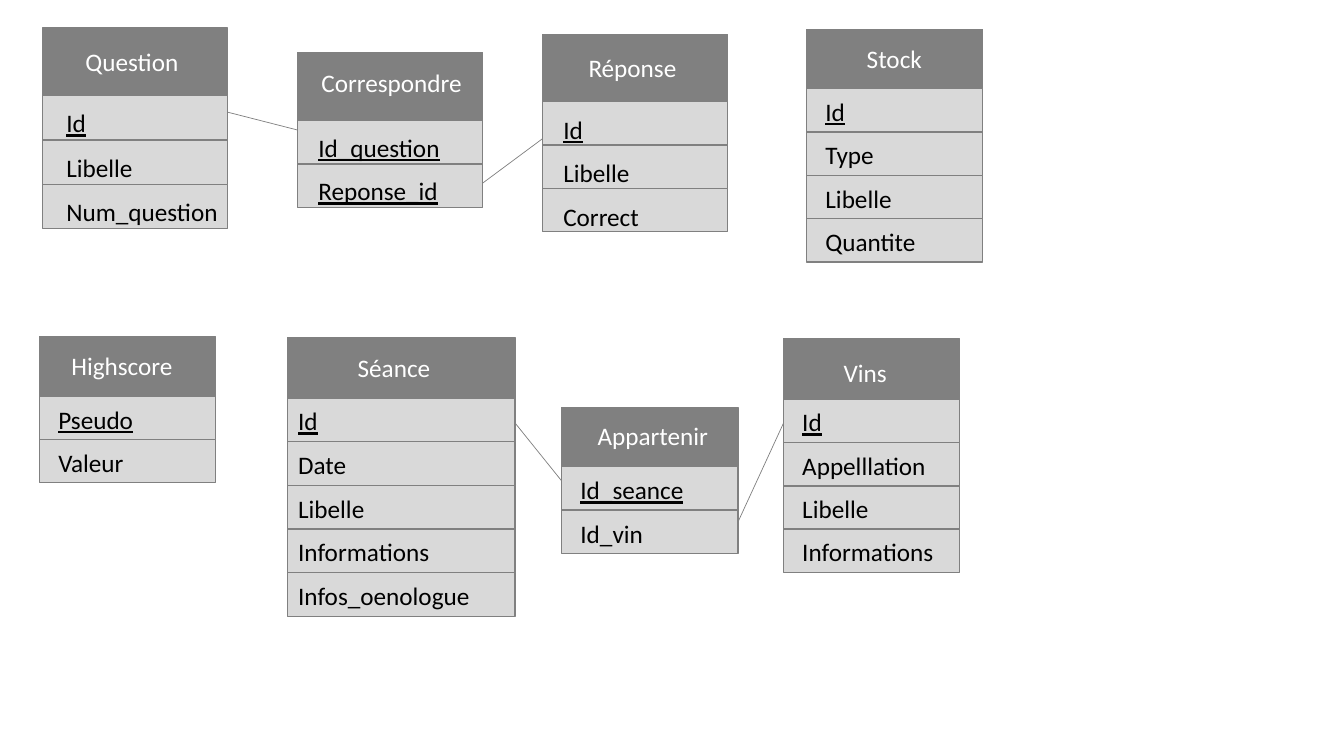
import collections
import dataclasses

import lxml.etree
import pptx
import pptx.dml.color
import pptx.enum.shapes
import pptx.enum.text
import pptx.oxml.ns
import pptx.util


@dataclasses.dataclass(frozen=True)
class Theme:
    """Colours, type and line sizes of the diagram."""
    head: str = "808080"
    row: str = "D9D9D9"
    head_text: str = "FFFFFF"
    row_text: str = "000000"
    font: str = "Calibri"
    size: float = 18
    border: float = 1
    link: float = 0.5


THEME = Theme()
# The grid has ten columns and ten rows to the inch.
WIDTH, HEIGHT = 133.33, 75
TEXT_H = 4

Box = collections.namedtuple("Box", "x y w h")
# box: header bar; pitch: row step; title, inset: text offsets; keys: underlined fields
Entity = collections.namedtuple("Entity", "name box pitch title inset keys fields")

ENTITIES = [
    Entity("Question", Box(4.2, 2.8, 18.4, 6.7), 4.4, (3.3, 1.3), (1.4, 0.7), 1,
           ["Id", "Libelle", "Num_question"]),
    Entity("Réponse", Box(53.8, 3.4, 18.4, 6.7), 4.3, (3.6, 1.3), (1.1, 0.75), 1,
           ["Id", "Libelle", "Correct"]),
    Entity("Highscore", Box(3.9, 3.34 * 10, 17.5, 5.9), 4.3, (2.2, 0.9), (0.9, 0.3), 1,
           ["Pseudo", "Valeur"]),
    Entity("Stock", Box(80, 2.9, 17.5, 5.9), 4.3, (5, 0.9), (0.9, 0.25), 1,
           ["Id", "Type", "Libelle", "Quantite"]),
    Entity("Séance", Box(28.5, 33.5, 22.6, 6), 4.33, (6, 1), (0.1, 0.25), 1,
           ["Id", "Date", "Libelle", "Informations", "Infos_oenologue"]),
    Entity("Vins", Box(77.7, 33.6, 17.5, 6), 4.3, (5, 1.4), (0.9, 0.25), 1,
           ["Id", "Appelllation", "Libelle", "Informations"]),
    Entity("Correspondre", Box(29.5, 5.2, 18.4, 6.7), 4.35, (1.4, 1), (1.1, 0.7), 2,
           ["Id_question", "Reponse_id"]),
    Entity("Appartenir", Box(55.7, 40.4, 17.5, 5.9), 4.3, (2.6, 0.8), (0.9, 0.3), 1,
           ["Id_seance", "Id_vin"]),
]

# Each link: start x, start y, run, fall.
LINKS = [
    Box(50, 40.6, 7.4, 9.2),
    Box(72.7, 52.9, 5.8, -12.6),
    Box(47.3, 18.6, 9.3, -6.9),
    Box(20.9, 10.7, 13.7, 3.5),
]


def grid(*units):
    """Turn grid units into lengths."""
    return [pptx.util.Inches(u / 10) for u in units]


def colour(value):
    """Return a theme colour as RGB."""
    return pptx.dml.color.RGBColor.from_string(value)


def add_bar(shapes, box, fill):
    """Draw one bordered bar filling the box."""
    sp = shapes.add_shape(pptx.enum.shapes.MSO_SHAPE.RECTANGLE, *grid(*box))
    sp.shadow.inherit = False
    sp.fill.solid()
    sp.fill.fore_color.rgb = colour(fill)
    sp.line.color.rgb = colour(THEME.head)
    sp.line.width = pptx.util.Pt(THEME.border)


def add_label(shapes, box, offset, text, tint, underline=False):
    """Write one line of text, shifted by offset from the box's corner."""
    dx, dy = offset
    tf = shapes.add_textbox(*grid(box.x + dx, box.y + dy, box.w, TEXT_H)).text_frame
    tf.word_wrap = True
    tf.auto_size = pptx.enum.text.MSO_AUTO_SIZE.SHAPE_TO_FIT_TEXT
    r = tf.paragraphs[0].add_run()
    r.text = text
    r.font.name = THEME.font
    r.font.size = pptx.util.Pt(THEME.size)
    r.font.color.rgb = colour(tint)
    if underline:
        r.font.underline = True


def add_entity(s, entity):
    """Draw an entity: its header bar and the field rows stacked below it."""
    shapes = s.shapes.add_group_shape().shapes
    box = entity.box
    add_bar(shapes, box, THEME.head)
    add_label(shapes, box, entity.title, entity.name, THEME.head_text)
    for i, field in enumerate(entity.fields):
        row = Box(box.x, box.y + box.h + i * entity.pitch, box.w, entity.pitch)
        add_bar(shapes, row, THEME.row)
        add_label(shapes, row, entity.inset, field, THEME.row_text, i < entity.keys)


def add_link(s, box):
    """Draw a thin line across the box's diagonal."""
    sp = s.shapes.add_connector(
        pptx.enum.shapes.MSO_CONNECTOR.STRAIGHT,
        *grid(box.x, box.y, box.x + box.w, box.y + box.h))
    sp.line.color.rgb = colour(THEME.head)
    sp.line.width = pptx.util.Pt(THEME.link)
    lxml.etree.SubElement(sp._element.spPr, pptx.oxml.ns.qn("a:effectLst"))


def build_diagram(prs):
    """Add the slide with links behind the entities."""
    s = prs.slides.add_slide(prs.slide_layouts[6])
    for link in LINKS:
        add_link(s, link)
    for entity in ENTITIES:
        add_entity(s, entity)


prs = pptx.Presentation()
prs.slide_width, prs.slide_height = grid(WIDTH, HEIGHT)
build_diagram(prs)
prs.save("out.pptx")
